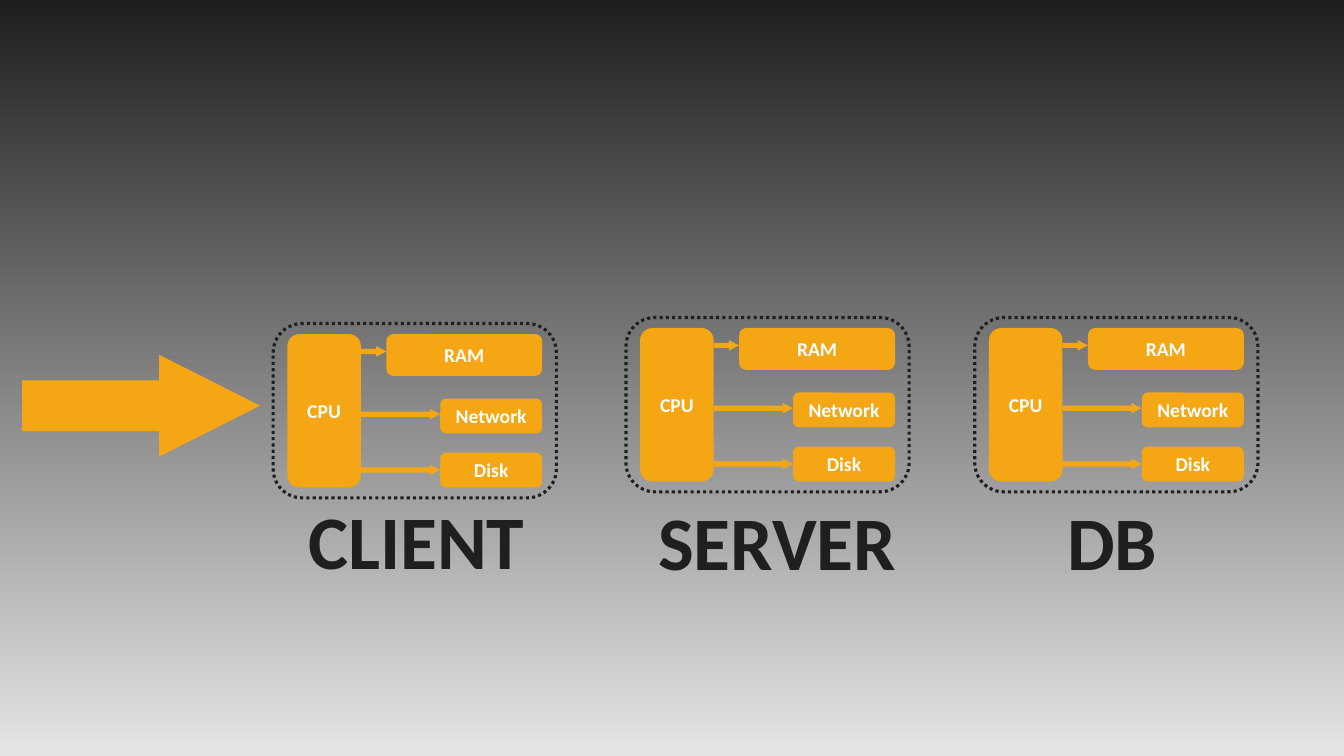
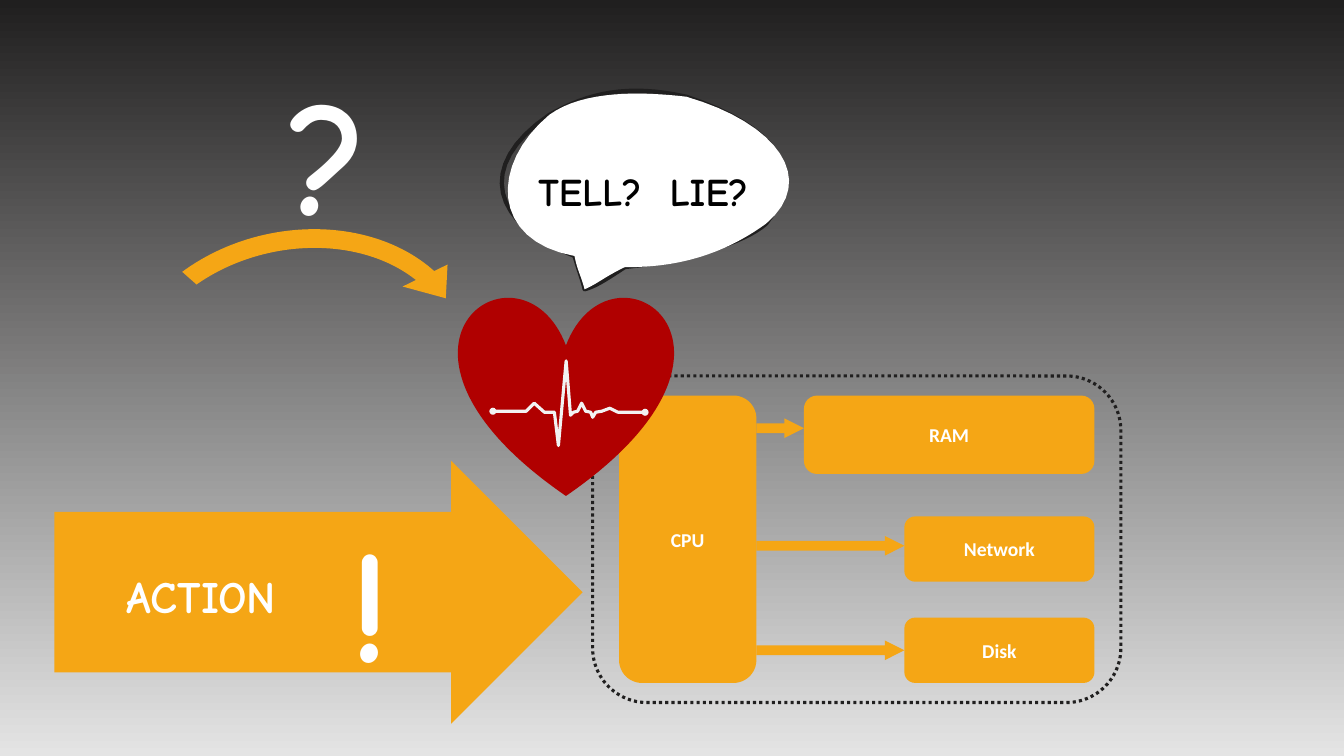
import pptx
import pptx.dml.color
import pptx.enum.dml
import pptx.enum.shapes
import pptx.enum.text
import pptx.util

SHAPE = pptx.enum.shapes.MSO_SHAPE
ALIGN = pptx.enum.text.PP_ALIGN
ANCHOR = pptx.enum.text.MSO_ANCHOR

# Grid of square cells; every length below is counted in cells.
COLUMNS, ROWS = 40, 22.5
CELL = pptx.util.Inches(40 / 3) // COLUMNS

DARK, LIGHT, WHITE, BLACK = "201F1F", "E4E4E4", "FFFFFF", "000000"
ORANGE, RED, PULSE = "F5A615", "B00000", "F2F2F2"
BODY_FONT, COMIC_FONT = "Calibri", "Comic Neue"

# Parts of a machine as shares of its frame: left, top, width, height.
CPU = (0.05, 0.06, 0.26, 0.88)
DEVICES = [  # name, box, middle of its arrow
    ("RAM", (0.4, 0.06, 0.55, 0.24), 0.16),
    ("Network", (0.59, 0.43, 0.36, 0.2), 0.52),
    ("Disk", (0.59, 0.74, 0.36, 0.2), 0.84),
]
ARROW_HEIGHT = 0.06

HEARTBEAT = [
    (14.67, 12.24), (15.66, 12.24), (15.9, 12), (16.2, 12.27), (16.5, 12.27),
    (16.62, 13.26), (16.85, 10.74), (16.98, 12.36), (17.07, 12.27),
    (17.19, 12.24), (17.31, 12), (17.43, 12.24), (17.58, 12.27),
    (17.64, 12.42), (17.73, 12.27), (17.91, 12.24), (18.15, 12.15),
    (18.39, 12.27), (19.2, 12.27),
]

# Both bubble outlines pass through the same anchors, with other handles.
BUBBLE_ANCHORS = [
    (17.4, 8.61), (17.1, 7.62), (16.35, 3.42), (20.43, 2.88),
    (22.8, 6.66), (18.6, 7.95), (17.4, 8.61),
]
BUBBLE_RIM = [
    ((17.34, 8.34), (17.25, 8.13)), ((14.67, 6.69), (14.1, 4.95)),
    ((17.52, 2.76), (18.69, 2.49)), ((23.04, 3.75), (24.09, 5.07)),
    ((22.17, 7.23), (20.37, 7.77)), ((18.18, 8.22), (17.76, 8.52)),
]
BUBBLE_BODY = [
    ((17.28, 8.16), (17.19, 8.07)), ((14.61, 7.17), (14.58, 4.89)),
    ((17.37, 2.67), (19.14, 2.73)), ((23.13, 3.66), (24.36, 5.34)),
    ((21.84, 7.35), (20.52, 7.98)), ((18.03, 8.22), (17.76, 8.46)),
]


def color(hex_code):
    return pptx.dml.color.RGBColor.from_string(hex_code)


def cells(*lengths):
    return [pptx.util.Emu(round(length * CELL)) for length in lengths]


def within(frame, part):
    """Turn shares of a frame into a box on the grid."""
    left, top, width, height = frame
    x, y, w, h = part
    return left + x * width, top + y * height, w * width, h * height


def paint(shape, fill=None, line=None, width=1):
    shape.shadow.inherit = False
    if fill:
        shape.fill.solid()
        shape.fill.fore_color.rgb = color(fill)
    else:
        shape.fill.background()
    if line:
        shape.line.color.rgb = color(line)
        shape.line.width = pptx.util.Pt(width)
    else:
        shape.line.fill.background()


def write(shape, text, size, ink, font=BODY_FONT, align=ALIGN.CENTER):
    paragraph = shape.text_frame.paragraphs[0]
    paragraph.text = text
    paragraph.alignment = align
    paragraph.font.size = pptx.util.Pt(size)
    paragraph.font.name = font
    paragraph.font.bold = True
    paragraph.font.color.rgb = color(ink)
    return paragraph


def add_figure(shapes, preset, box, fill, adjustments=()):
    figure = shapes.add_shape(preset, *cells(*box))
    for index, value in enumerate(adjustments):
        figure.adjustments[index] = value
    paint(figure, fill)
    return figure


def add_arrow(shapes, box, shaft=0.5, head=0.99):
    add_figure(shapes, SHAPE.RIGHT_ARROW, box, ORANGE, (shaft, head))


def add_component(shapes, name, box):
    component = add_figure(shapes, SHAPE.ROUNDED_RECTANGLE, box, ORANGE)
    component.text_frame.vertical_anchor = ANCHOR.MIDDLE
    write(component, name, 14, WHITE)


def add_text(shapes, text, box, size, ink, font, wrap=True):
    label = shapes.add_textbox(*cells(*box))
    label.text_frame.word_wrap = wrap
    write(label, text, size, ink, font, ALIGN.LEFT)


def add_outline(shapes, points, close):
    first, *rest = [cells(*point) for point in points]
    builder = shapes.build_freeform(*first)
    builder.add_line_segments(rest, close=close)
    return builder.convert_to_shape()


def curve_points(anchors, handles, steps=16):
    """Sample the cubic curves that join the anchors."""
    points = [anchors[0]]
    for start, (out, into), end in zip(anchors, handles, anchors[1:]):
        for step in range(1, steps + 1):
            t = step / steps
            u = 1 - t
            points.append(tuple(
                u**3 * a + 3 * u * u * t * b + 3 * u * t * t * c + t**3 * d
                for a, b, c, d in zip(start, out, into, end)))
    return points


def add_machine(slide, frame):
    """Group a dotted frame, a CPU and the devices its arrows lead to."""
    shapes = slide.shapes.add_group_shape().shapes
    add_component(shapes, "CPU", within(frame, CPU))
    cpu_right = CPU[0] + CPU[2]
    for name, box, middle in DEVICES:
        add_component(shapes, name, within(frame, box))
        add_arrow(shapes, within(frame, (
            cpu_right, middle - ARROW_HEIGHT / 2,
            box[0] - cpu_right, ARROW_HEIGHT)))
    border = add_figure(shapes, SHAPE.ROUNDED_RECTANGLE, frame, None)
    paint(border, line=DARK, width=2.25)
    border.line.dash_style = pptx.enum.dml.MSO_LINE.ROUND_DOT


def add_heart(slide):
    shapes = slide.shapes.add_group_shape().shapes
    add_figure(shapes, SHAPE.HEART, (13.65, 8.79, 6.39, 5.97), RED)
    paint(add_outline(shapes, HEARTBEAT, False), line=PULSE, width=2.25)
    dot = 0.21
    for x, y in (HEARTBEAT[0], HEARTBEAT[-1]):
        add_figure(shapes, SHAPE.OVAL, (x - dot / 2, y - dot / 2, dot, dot), PULSE)


def add_bubble(slide, text):
    rim, body = [
        add_outline(slide.shapes, curve_points(BUBBLE_ANCHORS, handles), True)
        for handles in (BUBBLE_RIM, BUBBLE_BODY)]
    paint(rim, line=DARK, width=3)
    paint(body, WHITE)
    frame = body.text_frame
    frame.word_wrap = False
    frame.vertical_anchor = ANCHOR.MIDDLE
    frame.margin_right, frame.margin_bottom = cells(0.6, 0.9)
    write(body, text, 28, BLACK, COMIC_FONT).line_spacing = 1.5


def set_background(master):
    fill = master.background.fill
    fill.gradient()
    fill.gradient_angle = 270
    for stop, shade, position in zip(fill.gradient_stops, (DARK, LIGHT), (0, 1)):
        stop.color.rgb = color(shade)
        stop.position = position


def build_tiers(slide):
    add_arrow(slide.shapes, (0.66, 10.56, 7.08, 3.03))
    tiers = [  # name, frame left and top, label left, top and width
        ("CLIENT", 8.13, 9.63, 8.88, 14.55, 7.11),
        ("SERVER", 18.63, 9.45, 19.29, 14.58, 7.77),
        ("DB", 29.01, 9.45, 31.47, 14.58, 3.3),
    ]
    for name, left, top, label_left, label_top, label_width in tiers:
        add_machine(slide, (left, top, 8.43, 5.19))
        add_text(slide.shapes, name, (label_left, label_top, label_width, 3.03),
                 54, DARK, BODY_FONT, wrap=False)


def build_action(slide):
    add_machine(slide, (17.64, 11.19, 15.72, 9.72))
    add_heart(slide)
    add_text(slide.shapes, "?", (8.25, 1.47, 2.94, 6.12), 115, WHITE, COMIC_FONT)
    add_bubble(slide, "TELL?  LIE?")
    swoop = add_figure(slide.shapes, SHAPE.CIRCULAR_ARROW,
                       (2.97, 6.42, 11.64, 9.3), ORANGE,
                       (0.06, 6.31, 201.66, 140.52, 0.08))
    swoop.rotation = 347.3
    action = slide.shapes.add_group_shape().shapes
    add_arrow(action, (1.62, 13.71, 15.72, 7.83), 0.61, 0.5)
    add_text(action, "!", (10.08, 14.79, 2.94, 6.12), 115, WHITE, COMIC_FONT)
    add_text(action, "ACTION", (3.48, 16.77, 7.38, 1.92), 32, WHITE, COMIC_FONT)


def main():
    deck = pptx.Presentation()
    deck.slide_width, deck.slide_height = cells(COLUMNS, ROWS)
    set_background(deck.slide_master)
    blank = deck.slide_layouts[6]
    for build in (build_tiers, build_action):
        build(deck.slides.add_slide(blank))
    deck.save("out.pptx")


if __name__ == "__main__":
    main()
